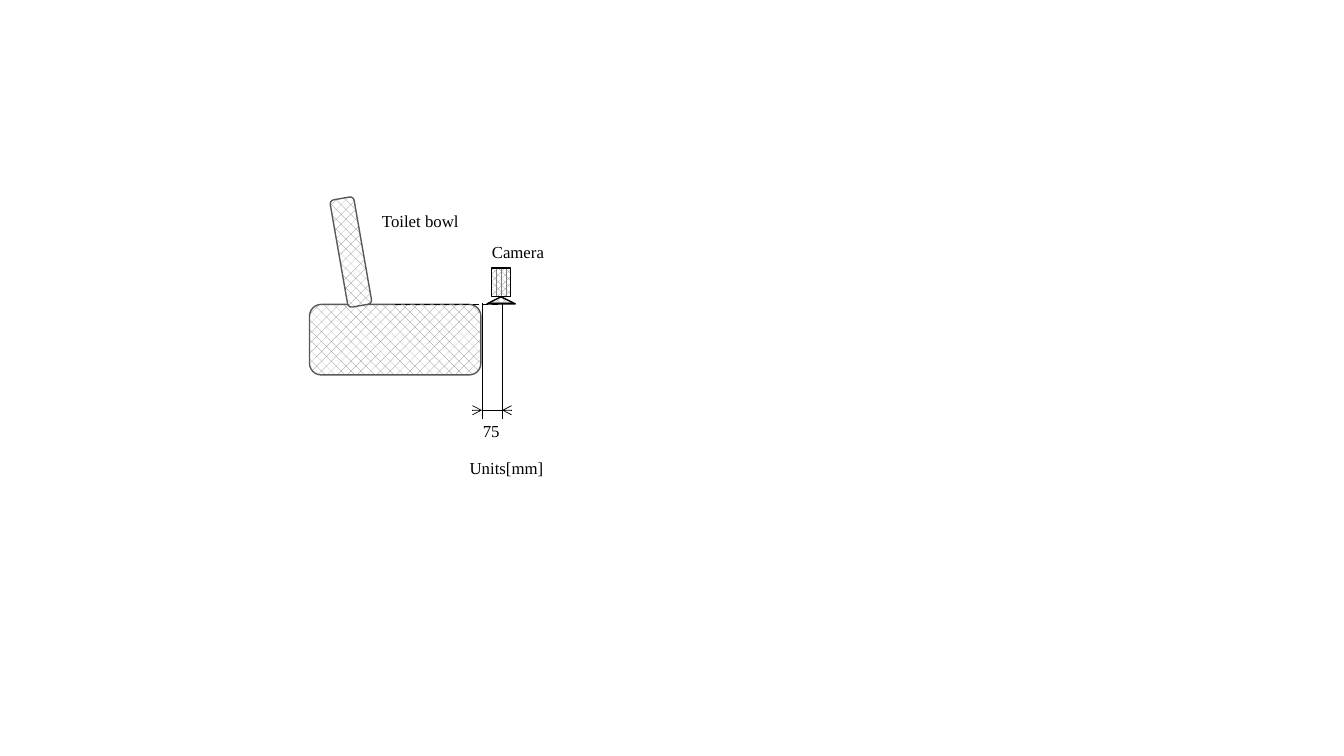
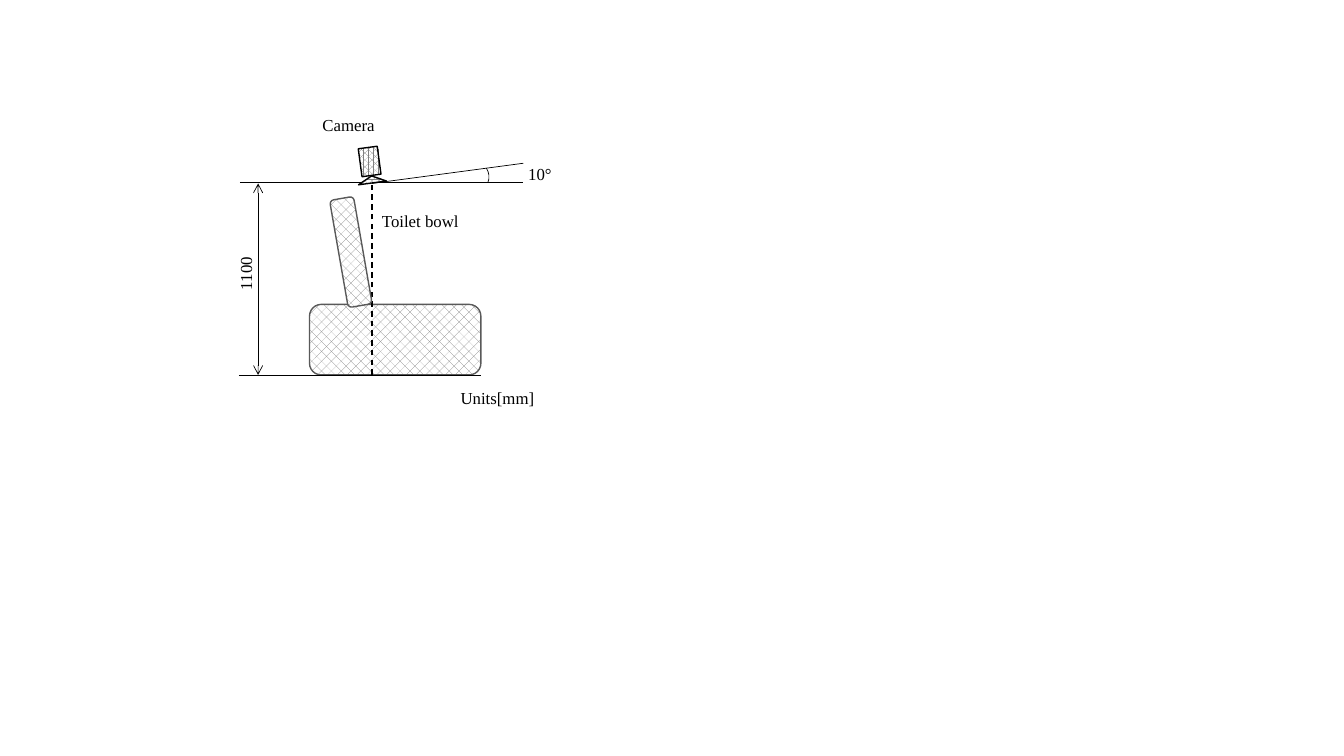
from math import cos, radians, sin

from pptx import Presentation, util as u
from pptx.dml.color import RGBColor
from pptx.enum import dml, shapes, text
from pptx.oxml.ns import qn
from lxml import etree

BLACK = RGBColor(0x00, 0x00, 0x00)
WHITE = RGBColor(0xFF, 0xFF, 0xFF)
HATCH = RGBColor(0x80, 0x80, 0x80)
OUTLINE = RGBColor(0x59, 0x59, 0x59)
FONT, SIZE = "Times New Roman", 12
THIN, THICK = 0.5, 1
LIGHT, DENSE = dml.MSO_PATTERN.PERCENT_30, dml.MSO_PATTERN.PERCENT_70
SHAPE = shapes.MSO_SHAPE


class Drawing:
    """Style and current slide of a dimensioned sketch."""

    def __init__(self, prs):
        """Keep the presentation that receives the slides."""
        self.prs = prs
        self.s = None

    def new_slide(self):
        """Start a blank slide."""
        self.s = self.prs.slides.add_slide(self.prs.slide_layouts[6])

    def shape(self, kind, x, y, w, h, color, width, pattern=None, rot=0):
        """Add an outlined shape, with a pattern fill if one is given."""
        sp = self.s.shapes.add_shape(
            kind, u.Inches(x), u.Inches(y), u.Inches(w), u.Inches(h))
        sp.shadow.inherit = False
        sp.rotation = rot
        if pattern is None:
            sp.fill.background()
        else:
            sp.fill.patterned()
            sp.fill.pattern = pattern
            sp.fill.fore_color.rgb = HATCH
            sp.fill.back_color.rgb = WHITE
        sp.line.color.rgb = color
        sp.line.width = u.Pt(width)
        return sp

    def label(self, words, x, y, w, rot=0):
        """Add a one-line label."""
        sp = self.s.shapes.add_textbox(
            u.Inches(x), u.Inches(y), u.Inches(w), u.Inches(0.3))
        sp.rotation = rot
        tf = sp.text_frame
        tf.word_wrap = False
        tf.auto_size = text.MSO_AUTO_SIZE.SHAPE_TO_FIT_TEXT
        r = tf.paragraphs[0].add_run()
        r.text = words
        r.font.name = FONT
        r.font.size = u.Pt(SIZE)
        r.font.color.rgb = BLACK

    def line(self, x1, y1, x2, y2, width=THIN, dashed=False, arrows=()):
        """Add a straight line; arrows may hold headEnd and tailEnd."""
        c = self.s.shapes.add_connector(
            shapes.MSO_CONNECTOR.STRAIGHT,
            u.Inches(x1), u.Inches(y1), u.Inches(x2), u.Inches(y2))
        c.line.color.rgb = BLACK
        c.line.width = u.Pt(width)
        if dashed:
            c.line.dash_style = dml.MSO_LINE.DASH
        spPr = c._element.spPr
        ln = spPr.find(qn("a:ln"))
        for end in arrows:
            etree.SubElement(ln, qn("a:" + end), type="arrow")
        etree.SubElement(spPr, qn("a:effectLst"))

    def bowl(self):
        """Add the base of the toilet bowl and its label."""
        self.shape(SHAPE.ROUNDED_RECTANGLE, 3.07, 3.02, 1.7, 0.7,
                   OUTLINE, THICK, LIGHT)
        self.label("Toilet bowl", 3.69, 2.04, 0.97)

    def lid(self):
        """Add the raised lid."""
        self.shape(SHAPE.ROUNDED_RECTANGLE, 2.94, 2.38, 1.08, 0.24,
                   OUTLINE, THICK, LIGHT, 260.1)

    def camera(self, x, y, tilt=0):
        """Add a camera whose lens is centred on x, y."""
        bx = x + 0.18 * sin(radians(tilt))
        by = y - 0.18 * cos(radians(tilt))
        parts = ((SHAPE.RECTANGLE, bx, by, 0.19, 270),
                 (SHAPE.ISOSCELES_TRIANGLE, x, y, 0.07, 0))
        for kind, cx, cy, h, turn in parts:
            self.shape(kind, cx - 0.14, cy - h / 2, 0.28, h,
                       BLACK, THICK, DENSE, (turn + tilt) % 360)


def offset_slide(d):
    """Camera in front of the bowl, with its horizontal distance."""
    rim, lens, level = 4.78, 4.98, 4.07
    d.new_slide()
    d.bowl()
    d.camera(4.97, 2.98)
    for x in (rim, lens):
        d.line(x, 4.16, x, 3.01)
    d.line(rim, level, lens, level)
    d.label("75", 4.69, 4.12, 0.37)
    d.label("Camera", 4.78, 2.35, 0.73)
    d.label("Units[mm]", 4.56, 4.49, 0.94)
    d.line(3.92, 3.02, lens, 3.02, THICK, dashed=True)
    d.lid()
    d.line(lens, level, lens + 0.1, level, arrows=["headEnd"])
    d.line(rim - 0.1, level, rim, level, arrows=["tailEnd"])


def height_slide(d):
    """Tilted camera above the bowl, with its height and angle."""
    axis, floor, top, right = 3.69, 3.72, 1.82, 5.19
    d.new_slide()
    d.bowl()
    d.line(2.38, 1.81, right, 1.81)
    d.label("10°", 5.14, 1.58, 0.54)
    d.label("Camera", 3.1, 1.09, 0.73)
    d.label("Units[mm]", 4.47, 3.8, 0.94)
    d.line(axis, floor, axis, top, THICK, dashed=True)
    d.lid()
    d.camera(axis, 1.78, -7.7)
    d.line(axis, top, right, 1.62)
    d.line(2.37, floor, 4.77, floor)
    d.line(2.56, floor, 2.56, top, arrows=["headEnd", "tailEnd"])
    arc = d.shape(SHAPE.ARC, 4.54, 1.6, 0.31, 0.31, BLACK, THIN, rot=353.2)
    arc.adjustments[0] = 199.41
    arc.adjustments[1] = 17.3
    d.label("1100", 2.17, 2.56, 0.53, 270)


def main():
    """Build and save both slides."""
    prs = Presentation()
    prs.slide_width, prs.slide_height = u.Inches(13.33), u.Inches(7.5)
    d = Drawing(prs)
    offset_slide(d)
    height_slide(d)
    prs.save("out.pptx")


main()
